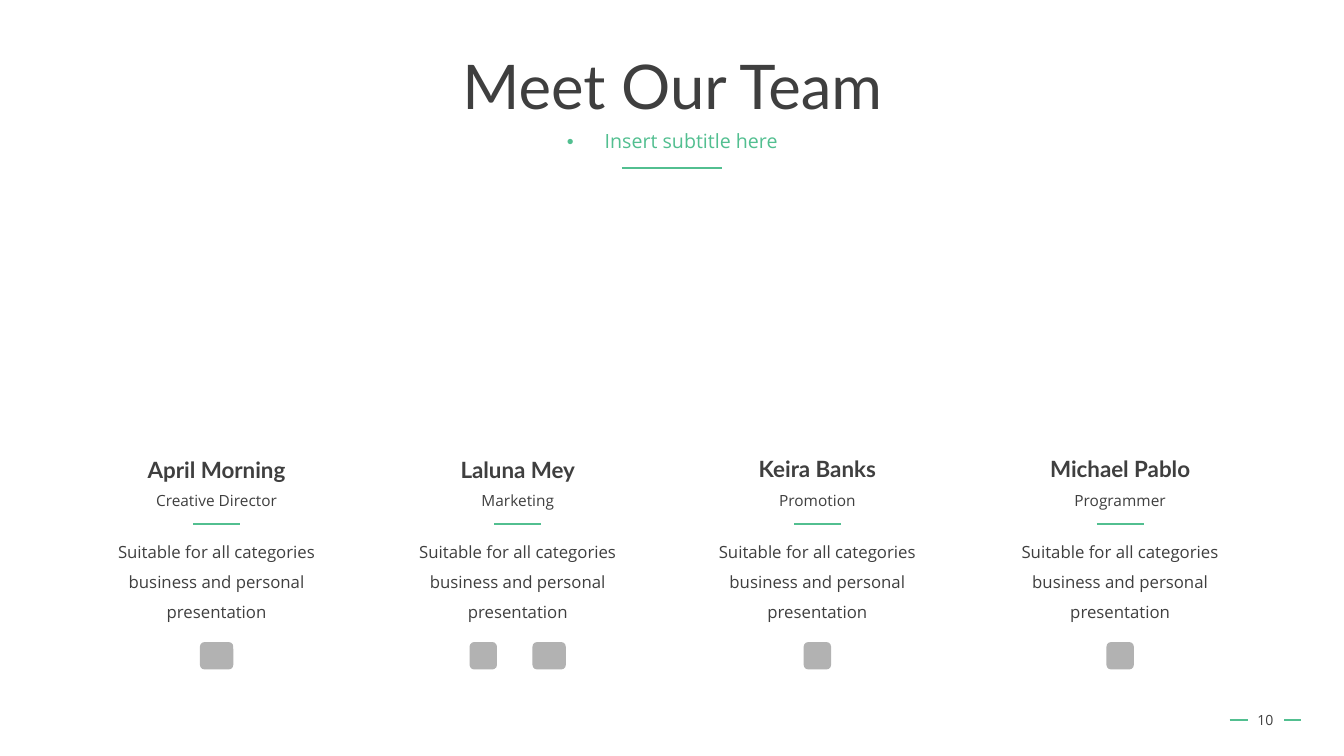
from lxml.etree import SubElement
from pptx import Presentation
from pptx.dml.color import RGBColor
from pptx.enum.shapes import MSO_CONNECTOR, MSO_SHAPE
from pptx.enum.text import MSO_ANCHOR, MSO_AUTO_SIZE, PP_ALIGN
from pptx.oxml.ns import qn
from pptx.util import Cm, Pt

GREEN, DARK, GREY = "52BF90", "3F3F3F", "B2B2B2"
FORMATS = {
    "title": {"name": "Lato", "size": Pt(44), "bold": False},
    "subtitle": {"name": "Open Sans", "size": Pt(14), "bold": False},
    "name": {"name": "Lato", "size": Pt(16), "bold": True},
    "role": {"name": "Open Sans", "size": Pt(11), "bold": False},
    "description": {"name": "Open Sans", "size": Pt(12), "bold": False},
    "number": {"name": "Open Sans", "size": Pt(10), "bold": False},
}


def write_text(shape, text, style, color=DARK, spacing=1.0,
               anchor=MSO_ANCHOR.TOP, fit=MSO_AUTO_SIZE.NONE):
    frame = shape.text_frame
    frame.text = text
    frame.word_wrap = True
    frame.auto_size = fit
    frame.vertical_anchor = anchor
    paragraph = frame.paragraphs[0]
    paragraph.alignment = PP_ALIGN.CENTER
    paragraph.line_spacing = spacing
    paragraph.space_before = Pt(0)
    font = paragraph.runs[0].font
    for attribute, value in FORMATS[style].items():
        setattr(font, attribute, value)
    font.color.rgb = RGBColor.from_string(color)


presentation = Presentation()
presentation.slide_width, presentation.slide_height = Cm(33.87), Cm(19.05)
slide = presentation.slides.add_slide(presentation.slide_layouts[1])
shapes = slide.shapes

# Title and subtitle
title, subtitle = slide.placeholders
for placeholder, top, height in ((title, 1.02, 2.49), (subtitle, 3.2, 1.02)):
    placeholder.left, placeholder.top = Cm(2.34), Cm(top)
    placeholder.width, placeholder.height = Cm(29.21), Cm(height)
write_text(title, "Meet Our Team", "title", spacing=0.9, anchor=MSO_ANCHOR.MIDDLE)
properties = subtitle.text_frame.paragraphs[0]._p.get_or_add_pPr()
properties.set("marL", "0")
properties.set("indent", "0")
SubElement(properties, qn("a:buNone"))
write_text(subtitle, "Insert subtitle here", "subtitle", GREEN, 0.9)

# Slide number
number = shapes.add_textbox(Cm(31.14), Cm(17.63), Cm(1.5), Cm(1.02))
write_text(number, "10", "number", anchor=MSO_ANCHOR.MIDDLE)

# Team members: centre, name top, name, role, icons as (offset, width)
description = "Suitable for all categories business and personal presentation"
team = [
    (5.46, 11.38, "April Morning", "Creative Director", [(0, 0.84)]),
    (13.05, 11.38, "Laluna Mey", "Marketing", [(-0.87, 0.69), (0.79, 0.84)]),
    (20.6, 11.35, "Keira Banks", "Promotion", [(0, 0.69)]),
    (28.23, 11.35, "Michael Pablo", "Programmer", [(0, 0.69)]),
]
rules = [(15.67, 18.19, 4.24), (30.99, 31.45, 18.14), (32.36, 32.79, 18.14)]
for center, name_top, name, role, icons in team:
    for text, style, top, width, height, spacing in (
        (name, "name", name_top, 5.79, 0.94, 1.0),
        (role, "role", 12.24, 5.79, 0.74, 1.0),
        (description, "description", 13.26, 6.43, 2.49, 1.5),
    ):
        box = shapes.add_textbox(Cm(center - width / 2), Cm(top), Cm(width), Cm(height))
        write_text(box, text, style, spacing=spacing,
                   fit=MSO_AUTO_SIZE.SHAPE_TO_FIT_TEXT)
    rules.append((center - 0.59, center + 0.59, 13.21))

    # Plain marks for the social channels
    for offset, width in icons:
        icon = shapes.add_shape(MSO_SHAPE.ROUNDED_RECTANGLE,
                                Cm(center + offset - width / 2), Cm(16.18),
                                Cm(width), Cm(0.69))
        icon.shadow.inherit = False
        icon.fill.solid()
        icon.fill.fore_color.rgb = RGBColor.from_string(GREY)
        icon.line.fill.background()

# Green rules
for start, end, height in rules:
    rule = shapes.add_connector(MSO_CONNECTOR.STRAIGHT,
                                Cm(start), Cm(height), Cm(end), Cm(height))
    rule.line.color.rgb = RGBColor.from_string(GREEN)
    rule.line.width = Pt(1.75)
    SubElement(rule._element.spPr, qn("a:effectLst"))

presentation.save("out.pptx")
